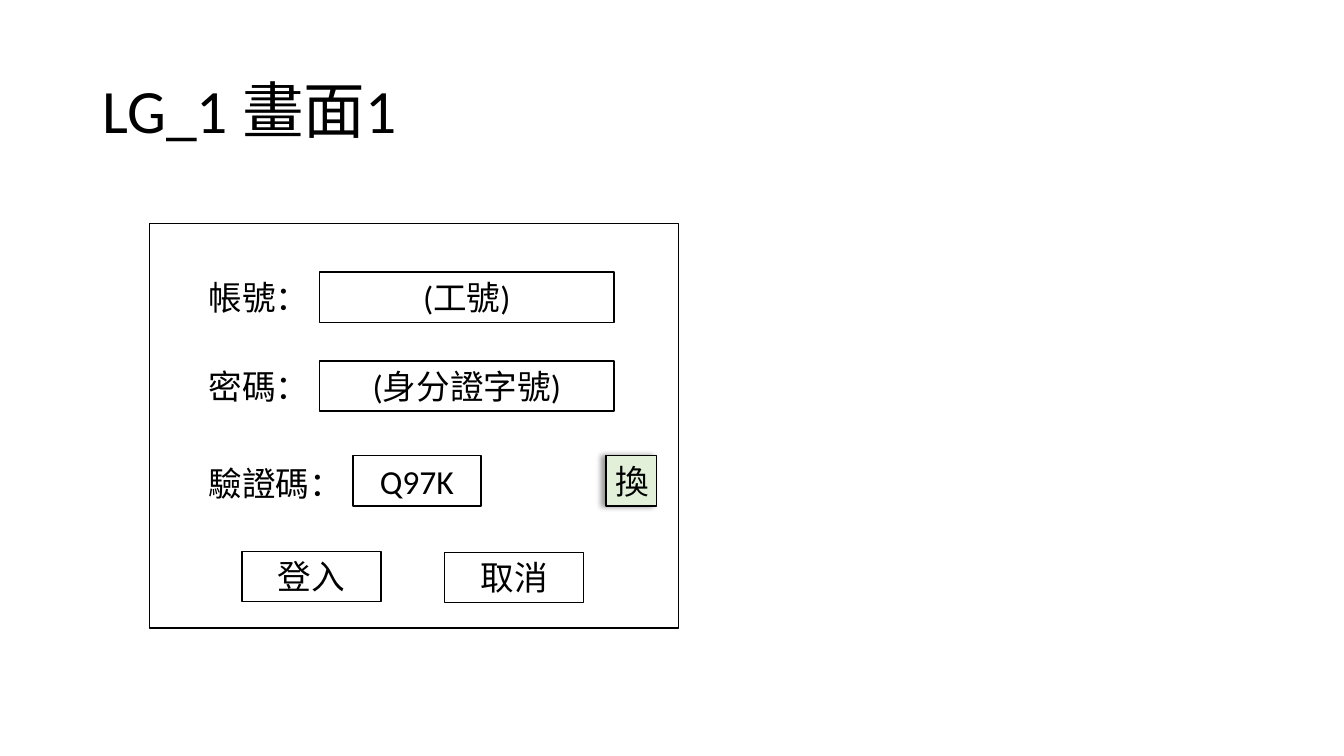
from lxml.etree import fromstring
from pptx import Presentation
from pptx.dml.color import RGBColor
from pptx.enum.shapes import MSO_SHAPE
from pptx.enum.text import MSO_ANCHOR, PP_ALIGN
from pptx.util import Pt

PX = 9144  # 100 px to the inch
ROW = 50
NS = "http://schemas.openxmlformats.org/drawingml/2006/main"


def write(frame, text, size=24, align=PP_ALIGN.LEFT, anchor=MSO_ANCHOR.TOP):
    frame.vertical_anchor = anchor
    para = frame.paragraphs[0]
    para.alignment = align
    run = para.add_run()
    run.text = text
    run.font.size = Pt(size)
    run.font.name = "Calibri"
    run.font.color.rgb = RGBColor.from_string("000000")
    return para


def box(left, top, width, height=ROW, text=None, fill="FFFFFF"):
    shape = slide.shapes.add_shape(
        MSO_SHAPE.RECTANGLE, left * PX, top * PX, width * PX, height * PX)
    shape.shadow.inherit = False
    if fill:
        shape.fill.solid()
        shape.fill.fore_color.rgb = RGBColor.from_string(fill)
    else:
        shape.fill.background()
    shape.line.color.rgb = RGBColor.from_string("000000")
    shape.line.width = Pt(1)
    if text:
        write(shape.text_frame, text, align=PP_ALIGN.CENTER,
              anchor=MSO_ANCHOR.MIDDLE)
    return shape


deck = Presentation()
deck.slide_width, deck.slide_height = 1333 * PX, 750 * PX
slide = deck.slides.add_slide(deck.slide_layouts[5])

title = slide.shapes.title
title.left, title.top = 92 * PX, 40 * PX
title.width, title.height = 1150 * PX, 145 * PX
head = write(title.text_frame, "LG_1 畫面1", size=44, anchor=MSO_ANCHOR.MIDDLE)
head.line_spacing = 0.9

# Login panel
box(148, 222, 525, 401, fill=None)

# Labels
for top, width, text in [(270, 112, "帳號："), (358, 112, "密碼："),
                         (454, 138, "驗證碼：")]:
    label = slide.shapes.add_textbox(197 * PX, top * PX, width * PX, ROW * PX)
    label.text_frame.word_wrap = False
    label.text_frame.margin_right = 0
    write(label.text_frame, text)

# Fields and buttons
for left, top, width, text in [
    (317, 270, 292, "(工號)"),
    (317, 358, 292, "(身分證字號)"),
    (350, 452, 127, "Q97K"),
    (240, 547, 138, "登入"),
    (441, 548, 138, "取消"),
]:
    box(left, top, width, text=text)

# Button for a new code, with its shadow to the left
swap = box(601, 452, 50, text="換", fill="E2F0D9")
effects = swap.element.spPr.find(f"{{{NS}}}effectLst")
effects.append(fromstring(
    f'<a:outerShdw xmlns:a="{NS}" blurRad="{Pt(4)}" dist="{Pt(3)}" '
    'dir="10800000" algn="r" rotWithShape="0"><a:srgbClr val="000000">'
    '<a:alpha val="40000"/></a:srgbClr></a:outerShdw>'))

deck.save("out.pptx")
